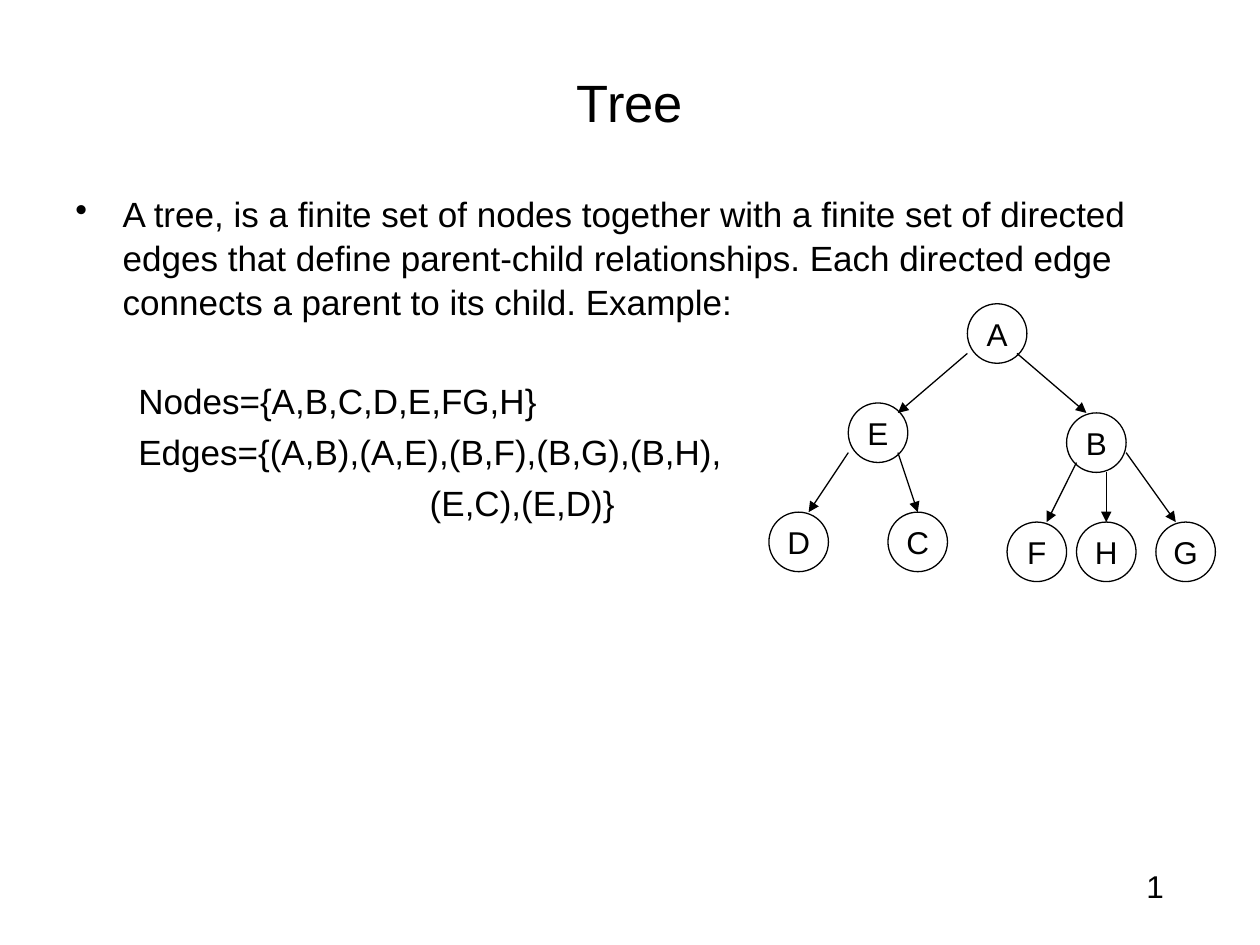
from lxml import etree
from pptx import Presentation
from pptx.dml.color import RGBColor
from pptx.enum.shapes import MSO_CONNECTOR, MSO_SHAPE
from pptx.enum.text import MSO_ANCHOR, PP_ALIGN
from pptx.oxml.ns import qn
from pptx.util import Pt

LEFT, CENTER = PP_ALIGN.LEFT, PP_ALIGN.CENTER
TOP, MIDDLE = MSO_ANCHOR.TOP, MSO_ANCHOR.MIDDLE
COLORS = {"ink": "000000", "paper": "FFFFFF"}
FONT = "Arial"

TITLE = "Tree"
# text, left margin, first-line indent, space before, bullet
BODY = [
    ("A tree, is a finite set of nodes together with a finite set of directed "
     "edges that define parent-child relationships. Each directed edge "
     "connects a parent to its child. Example:", 27, -27, 0, "•"),
    ("Nodes={A,B,C,D,E,FG,H}", 58.5, -22.5, 32, None),
    ("Edges={(A,B),(A,E),(B,F),(B,G),(B,H),", 58.5, -22.5, 4, None),
    ("(E,C),(E,D)}", 202.5, 0, 4, None),
]
PAGE_NUMBER = "1"

# The tree sits on a grid: top-left cell of each node, end cells of each edge
GRID_LEFT, GRID_TOP, CELL = 439.4, 173.6, 5.67
NODE_CELLS = 6
NODES = {
    "A": (20, 0), "B": (30, 11), "E": (8, 10), "C": (12, 21),
    "D": (0, 21), "F": (24, 22), "H": (31, 22), "G": (39, 22),
}
EDGES = [
    ((25, 5), (32, 11)),   # A to B
    ((20, 5), (13, 11)),   # A to E
    ((8, 15), (4, 21)),    # E to D
    ((13, 15), (15, 21)),  # E to C
    ((31, 16), (28, 22)),  # B to F
    ((34, 17), (34, 22)),  # B to H
    ((36, 15), (41, 22)),  # B to G
]


def color(name):
    return RGBColor.from_string(COLORS[name])


def grid_point(cell):
    column, row = cell
    return Pt(GRID_LEFT + column * CELL), Pt(GRID_TOP + row * CELL)


def write(paragraph, text, size=18, align=LEFT, margin=0, indent=0,
          before=0, spacing=None, bullet=None):
    paragraph.text = text
    paragraph.alignment = align
    paragraph.space_before = Pt(before)
    if spacing:
        paragraph.line_spacing = spacing
    properties = paragraph._p.get_or_add_pPr()
    properties.set("marL", str(Pt(margin)))
    properties.set("indent", str(Pt(indent)))
    if bullet:
        etree.SubElement(properties, qn("a:buChar"), char=bullet)
    font = paragraph.font
    font.name, font.size = FONT, Pt(size)
    font.color.rgb = color("ink")


def place(shape, left, top, width, height, anchor=TOP, wrap=True):
    shape.left, shape.top = Pt(left), Pt(top)
    shape.width, shape.height = Pt(width), Pt(height)
    shape.text_frame.vertical_anchor = anchor
    shape.text_frame.word_wrap = wrap
    return shape.text_frame


def add_text_box(slide, *box, wrap=True):
    return place(slide.shapes.add_textbox(0, 0, 0, 0), *box, wrap=wrap)


def add_node(slide, label, cell):
    size = Pt(NODE_CELLS * CELL)
    node = slide.shapes.add_shape(MSO_SHAPE.OVAL, *grid_point(cell), size, size)
    node.shadow.inherit = False
    node.fill.background()
    node.line.color.rgb = color("ink")
    node.line.width = Pt(0.75)
    node.text_frame.word_wrap = False
    node.text_frame.vertical_anchor = MIDDLE
    write(node.text_frame.paragraphs[0], label, align=CENTER)


def add_edge(slide, start, end):
    edge = slide.shapes.add_connector(
        MSO_CONNECTOR.STRAIGHT, *grid_point(start), *grid_point(end))
    edge.line.color.rgb = color("ink")
    edge.line.width = Pt(0.75)
    etree.SubElement(edge.line._get_or_add_ln(), qn("a:tailEnd"), type="triangle")
    etree.SubElement(edge._element.spPr, qn("a:effectLst"))


def main():
    presentation = Presentation()
    presentation.slide_width, presentation.slide_height = Pt(720), Pt(540)
    slide = presentation.slides.add_slide(presentation.slide_layouts[5])
    slide.background.fill.solid()
    slide.background.fill.fore_color.rgb = color("paper")

    title = place(slide.shapes.title, 36, 21.6, 648, 72.7, anchor=MIDDLE)
    write(title.paragraphs[0], TITLE, size=30, align=CENTER)

    body = add_text_box(slide, 36, 105.8, 648, 362)
    for index, (text, margin, indent, before, bullet) in enumerate(BODY):
        paragraph = body.add_paragraph() if index else body.paragraphs[0]
        write(paragraph, text, size=20, margin=margin, indent=indent,
              before=before, spacing=1.04, bullet=bullet)

    for label, cell in NODES.items():
        add_node(slide, label, cell)
    for start, end in EDGES:
        add_edge(slide, start, end)

    number = add_text_box(slide, 648, 491.8, 36.7, 28.8, wrap=False)
    write(number.paragraphs[0], PAGE_NUMBER)
    presentation.save("out.pptx")


if __name__ == "__main__":
    main()
